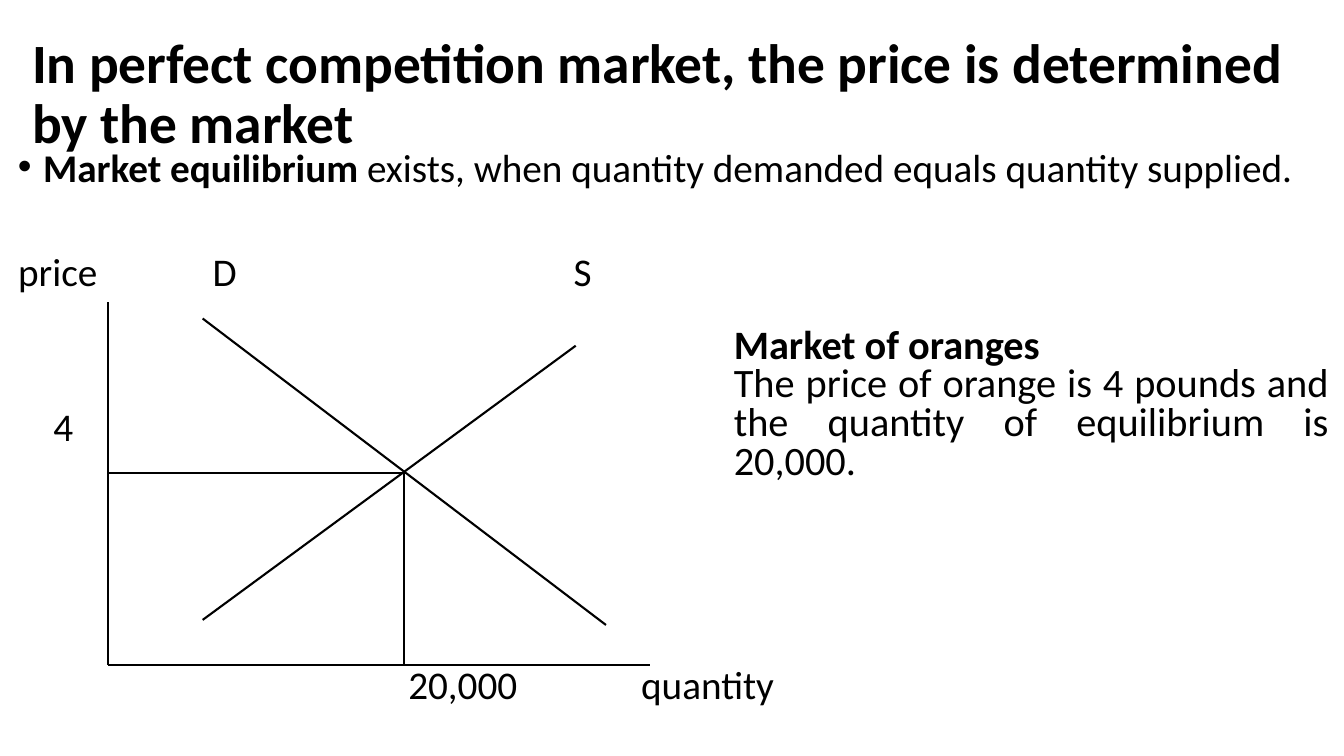
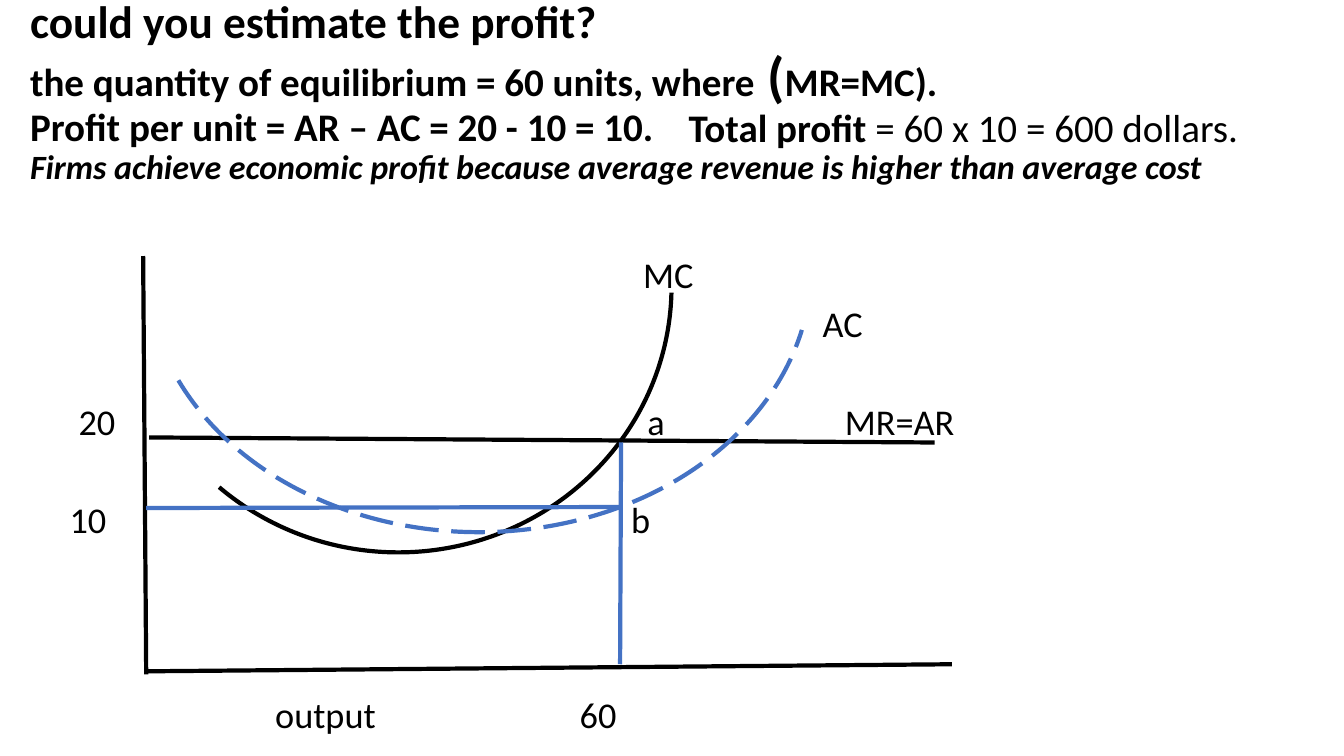
from lxml import etree
from pptx import Presentation
from pptx.dml.color import RGBColor
from pptx.enum.dml import MSO_LINE
from pptx.enum.shapes import MSO_CONNECTOR, MSO_SHAPE
from pptx.enum.text import MSO_ANCHOR, PP_ALIGN
from pptx.oxml.ns import qn
from pptx.util import Inches, Pt

STRAIGHT = MSO_CONNECTOR.STRAIGHT
ARC = MSO_SHAPE.ARC
DASH = MSO_LINE.LONG_DASH
TOP, MIDDLE = MSO_ANCHOR.TOP, MSO_ANCHOR.MIDDLE
LEFT, JUSTIFY = PP_ALIGN.LEFT, PP_ALIGN.JUSTIFY

BLACK, BLUE = "000000", "4472C4"
FONT = "Calibri"


def color(code):
    return RGBColor.from_string(code)


class Deck:
    """Holds the shared style and the slide being drawn."""

    def __init__(self):
        self.file = Presentation()
        self.file.slide_width = Inches(13.33)
        self.file.slide_height = Inches(7.5)
        self.slide = None

    def page(self):
        self.slide = self.file.slides.add_slide(self.file.slide_layouts[6])

    def text(self, box, rows, gap=1.0, anchor=TOP, align=LEFT, inset=True):
        """Each row is a list of runs: (text, size, style), style using b and i."""
        shape = self.slide.shapes.add_textbox(*map(Inches, box))
        frame = shape.text_frame
        frame.word_wrap = True
        frame.vertical_anchor = anchor
        if not inset:
            frame.margin_left = frame.margin_right = 0
            frame.margin_top = frame.margin_bottom = 0
        for n, row in enumerate(rows):
            para = frame.paragraphs[0] if n == 0 else frame.add_paragraph()
            para.line_spacing = gap
            para.alignment = align
            for words, size, style in row:
                run = para.add_run()
                run.text = words
                run.font.name = FONT
                run.font.size = Pt(size)
                run.font.bold = "b" in style
                run.font.italic = "i" in style
                run.font.color.rgb = color(BLACK)
        return frame

    def title(self, box, rows):
        self.text(box, rows, gap=0.9, anchor=MIDDLE)

    def bullet(self, box, row):
        frame = self.text(box, [row], gap=0.8)
        props = frame.paragraphs[0]._p.get_or_add_pPr()
        props.set("marL", str(Inches(0.25)))
        props.set("indent", str(-Inches(0.25)))
        etree.SubElement(props, qn("a:buFont")).set("typeface", "Arial")
        etree.SubElement(props, qn("a:buChar")).set("char", "•")

    def label(self, left, top, runs, width=2):
        self.text((left, top, width, 0.45), [runs], inset=False)

    def labels(self, size, places):
        for words, left, top in places:
            self.label(left, top, [(words, size, "")])

    def line(self, ends, width, code=BLACK):
        link = self.slide.shapes.add_connector(STRAIGHT, *map(Inches, ends))
        link.line.width = Pt(width)
        link.line.color.rgb = color(code)
        etree.SubElement(link._element.spPr, qn("a:effectLst"))

    def curve(self, box, start, end, code=BLACK, dash=None):
        """Draw an upturned arc; start and end are its adjustments."""
        arc = self.slide.shapes.add_shape(ARC, *map(Inches, box))
        arc.adjustments[0], arc.adjustments[1] = start, end
        arc._element.spPr.get_or_add_xfrm().set("flipV", "1")
        arc.shadow.inherit = False
        arc.fill.background()
        arc.line.width = Pt(3)
        arc.line.color.rgb = color(code)
        if dash:
            arc.line.dash_style = dash


def market(deck):
    deck.page()
    deck.title((0.22, 0.4, 13.06, 1.1), [
        [("In perfect competition market, the price is determined by the market",
          39.6, "b")]])
    deck.bullet((0.08, 1.46, 13.03, 0.6), [
        ("Market equilibrium", 28, "b"),
        (" exists, when quantity demanded equals quantity supplied.", 28, "")])

    left, base = 1.07, 6.6
    mid, price = 4.01, 4.69
    for ends in [
        (left, 3, left, base),
        (left, base, 6.45, base),
        (2.01, 6.15, 5.71, 3.43),
        (2.01, 3.16, 6.01, 6.2),
        (mid, price, left, price),
        (mid, price, mid, base),
    ]:
        deck.line(ends, 1.5)

    head, foot = 2.45, 6.55
    deck.labels(28, [
        ("price", 0.18, head), ("D", 2.11, head), ("S", 5.69, head),
        ("4", 0.53, 3.99),
        ("20,000", 4.05, foot), ("quantity", 6.36, foot)])
    deck.text((7.18, 3.16, 6.1, 1.73), [
        [("Market of oranges", 28.8, "b")],
        [("The price of orange is 4 pounds and the quantity of equilibrium is 20,000.",
          28.8, "")]],
        gap=0.8, anchor=MIDDLE, align=JUSTIFY)


def profit(deck):
    deck.page()
    size = 27.9
    deck.title((0.2, 0, 12.92, 1.85), [
        [("could you estimate the profit?", 32.4, "b")],
        [("the quantity of equilibrium = 60 units, where", size, "b"),
         (" (", 39.6, "b"), ("MR=MC).", size, "b")],
        [("Profit per unit = AR – AC = 20 - 10 = 10.", size, "b")],
        [("Firms achieve economic profit because average revenue is higher "
          "than average cost", 24.3, "bi")]])
    deck.label(6.83, 1.03, [("Total profit", size, "b"),
                            (" = 60 x 10 = 600 dollars.", size, "")], width=6.2)

    left, mid = 1.45, 6.16
    deck.line((1.42, 2.54, left, 6.69), 3)
    deck.curve((1.24, 0.2, 5.42, 5.28), 136.97, 215.19)
    deck.line((left, 6.66, 9.44, 6.59), 3)
    deck.line((1.48, 4.34, 9.27, 4.39), 3)
    deck.line((mid, 4.39, 6.15, 6.59), 3, BLUE)
    deck.curve((left, 0, 6.6, 5.28), 120.49, 209.29, BLUE, DASH)
    deck.line((mid, 5.03, left, 5.04), 3, BLUE)

    high, low, foot = 3.96, 4.93, 6.87
    deck.labels(25.9, [
        ("MC", 6.38, 2.5), ("AC", 8.16, 2.99),
        ("20", 0.78, high), ("a", 6.42, high), ("MR=AR", 8.38, high),
        ("10", 0.69, low), ("b", 6.26, low),
        ("output", 2.73, foot), ("60", 5.75, foot)])


def main():
    deck = Deck()
    market(deck)
    profit(deck)
    deck.file.save("out.pptx")


if __name__ == "__main__":
    main()
